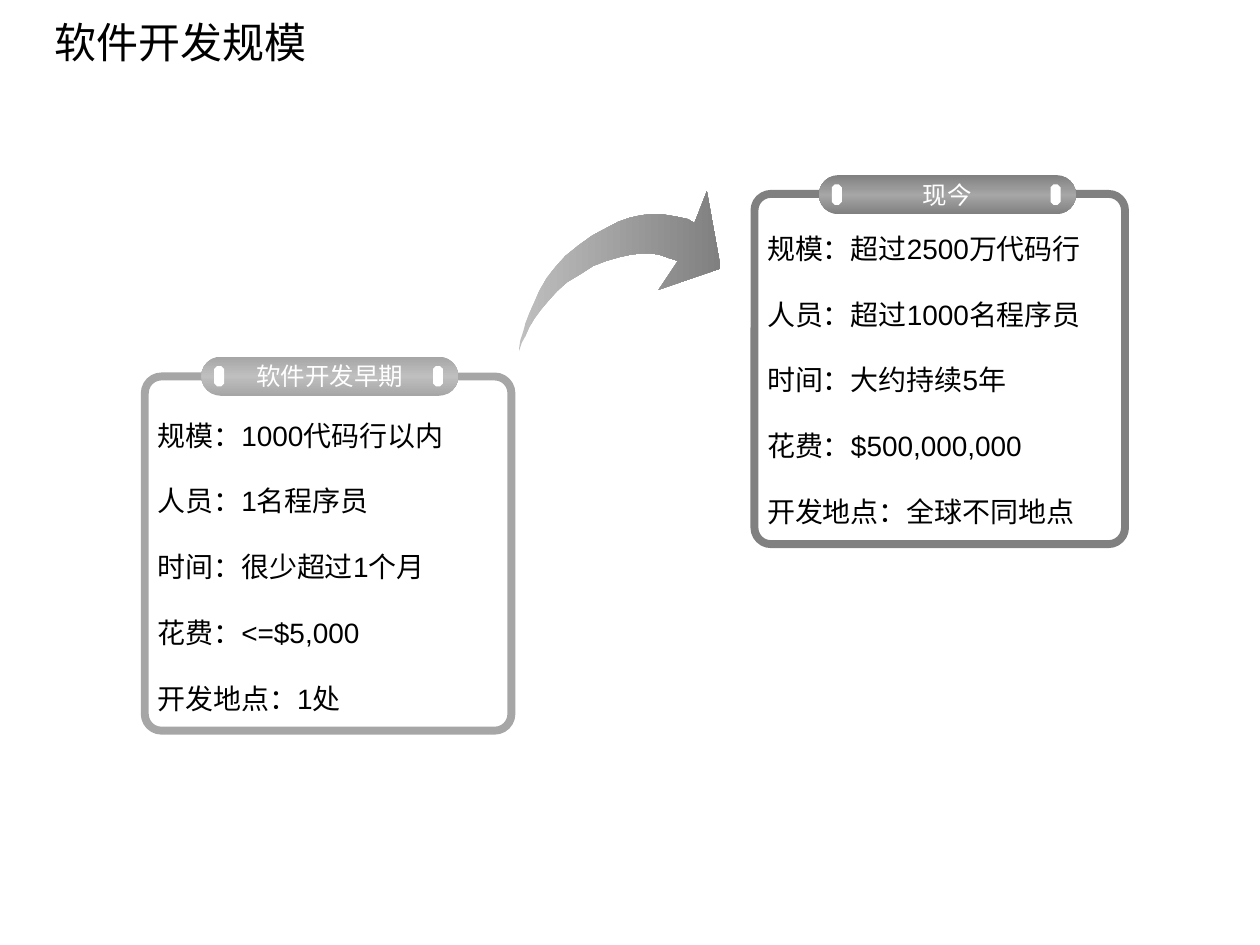
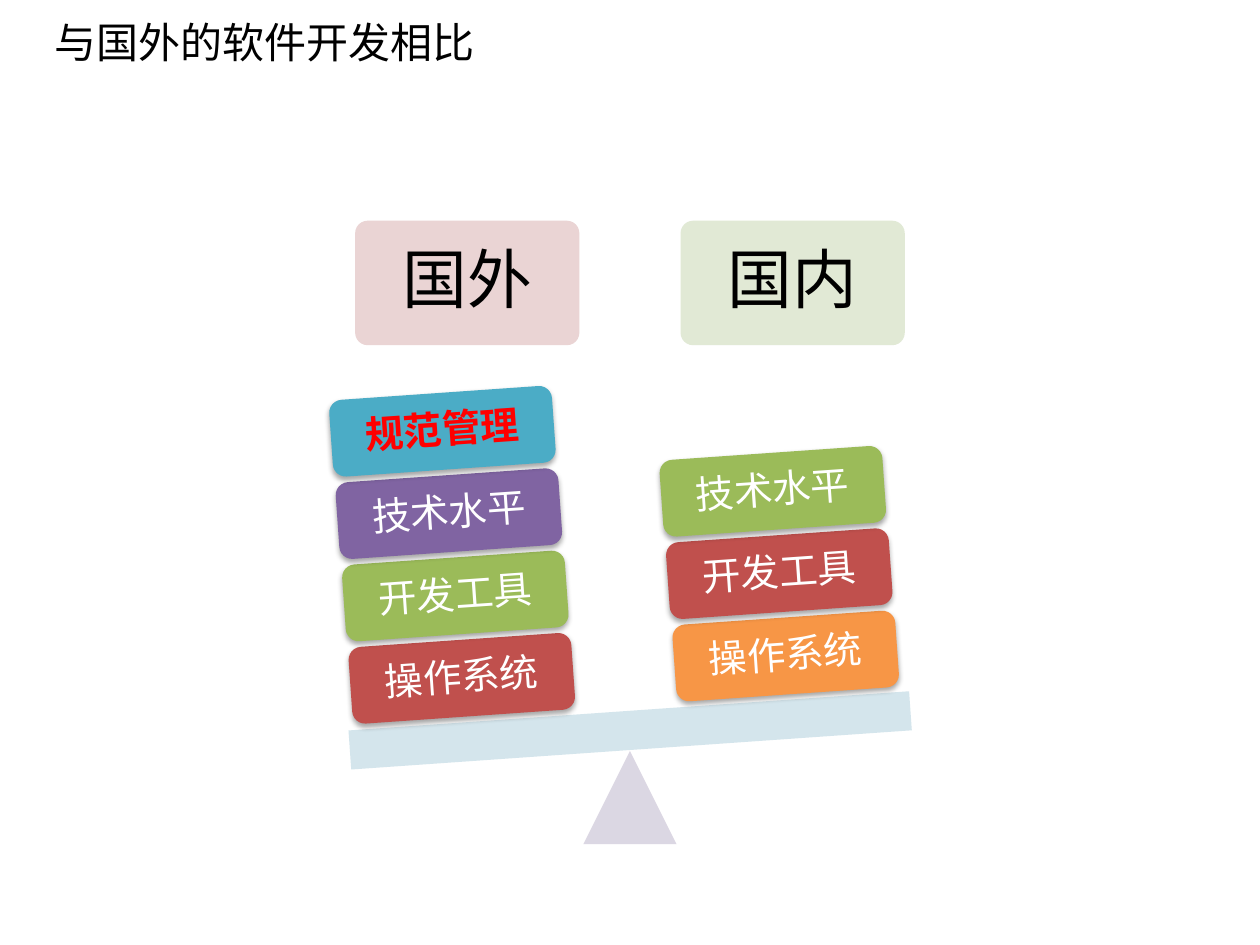
from copy import deepcopy
from dataclasses import dataclass

from lxml import etree
from pptx import Presentation
from pptx import util as u
from pptx.dml.color import RGBColor
from pptx.enum import shapes, text
from pptx.oxml.ns import qn


@dataclass(frozen=True)
class Theme:
    black: str = "000000"
    white: str = "FFFFFF"
    light: str = "BFBFBF"
    mid: str = "A6A6A6"
    dark: str = "808080"
    red: str = "FF0000"
    brick: str = "C0504D"
    green: str = "9BBB59"
    purple: str = "8064A2"
    aqua: str = "4BACC6"
    orange: str = "F79646"
    pale_red: str = "E8D0D0"
    pale_green: str = "DEE7D1"
    pale_purple: str = "D8D3E0"
    pale_blue: str = "D0E3EA"
    title_font: str = "Noto Sans CJK SC"
    panel_font: str = "Arial"
    tile_font: str = "Calibri"
    title_size: int = 24
    pill_size: int = 14
    body_size: int = 16
    heading_size: int = 37
    tile_size: int = 22


theme = Theme()
kinds = shapes.MSO_SHAPE


def draw(page, kind, place, fill=None, opacity=100, lines=(), font=theme.tile_font,
         size=theme.tile_size, colour=theme.white, inset=0.0):
    """Add a plain shape at place (cm), with optional text lines."""
    shape = page.shapes.add_shape(kind, *[u.Cm(length) for length in place])
    shape.shadow.inherit = False
    shape.line.fill.background()
    if fill:
        shape.fill.solid()
        shape.fill.fore_color.rgb = RGBColor.from_string(fill)
        if opacity < 100:
            tint = shape._element.spPr.find(".//" + qn("a:srgbClr"))
            etree.SubElement(tint, qn("a:alpha"), val=str(opacity * 1000))
    else:
        shape.fill.background()
    frame = shape.text_frame
    frame.word_wrap = True
    frame.vertical_anchor = text.MSO_ANCHOR.MIDDLE
    frame.margin_left = frame.margin_right = u.Cm(inset)
    frame.margin_top = frame.margin_bottom = u.Cm(inset)
    for number, line in enumerate(lines):
        para = frame.add_paragraph() if number else frame.paragraphs[0]
        para.text = line
        para.alignment = text.PP_ALIGN.CENTER
        para.font.name = font
        para.font.size = u.Pt(size)
        para.font.color.rgb = RGBColor.from_string(colour)
    return shape


def shade(shape, colours, angle):
    """Fill a shape with evenly spaced gradient colours."""
    shape.fill.gradient()
    shape.fill.gradient_angle = angle
    stop_list = shape._element.spPr.find(".//" + qn("a:gsLst"))
    while len(stop_list) < len(colours):
        stop_list.append(deepcopy(stop_list[0]))
    for number, stop in enumerate(shape.fill.gradient_stops):
        stop.position = number / (len(colours) - 1)
        stop.color.rgb = RGBColor.from_string(colours[number])


deck = Presentation()
deck.slide_width, deck.slide_height = u.Cm(25.4), u.Cm(19.05)

# Pages with their titles
pages = []
for heading in ("软件开发规模", "与国外的软件开发相比"):
    page = deck.slides.add_slide(deck.slide_layouts[5])
    title = page.shapes.title
    title.left, title.top = u.Cm(0.84), u.Cm(-0.08)
    title.width, title.height = u.Cm(22.86), u.Cm(1.83)
    title.text_frame.text = heading
    title.text_frame.auto_size = text.MSO_AUTO_SIZE.NONE
    title.text_frame.vertical_anchor = text.MSO_ANCHOR.MIDDLE
    para = title.text_frame.paragraphs[0]
    para.alignment = text.PP_ALIGN.LEFT
    para.font.name = theme.title_font
    para.font.size = u.Pt(theme.title_size)
    para.font.color.rgb = RGBColor.from_string(theme.black)
    defaults = para._p.pPr.find(qn("a:defRPr"))
    etree.SubElement(defaults, qn("a:ea"), typeface=theme.title_font)
    pages.append(page)
scale_page, balance_page = pages

# Panels: place, pill corner, edge and centre colours, text inset, label, facts
panels = [
    ((15.21, 3.91, 7.47, 7.06), (16.51, 3.53), theme.dark, theme.mid, 0.66, "现今",
     ["规模：超过2500万代码行", "人员：超过1000名程序员", "时间：大约持续5年",
      "花费：$500,000,000", "开发地点：全球不同地点"]),
    ((2.92, 7.59, 7.39, 7.14), (4.06, 7.19), theme.mid, theme.light, 0.74, "软件开发早期",
     ["规模：1000代码行以内", "人员：1名程序员", "时间：很少超过1个月",
      "花费：<=$5,000", "开发地点：1处"]),
]
for place, (left, top), edge, centre, text_top, label, facts in panels:
    panel = draw(scale_page, kinds.ROUNDED_RECTANGLE, place, lines=facts,
                 font=theme.panel_font, size=theme.body_size, colour=theme.black, inset=0.16)
    panel.adjustments[0] = 0.047
    panel.line.color.rgb = RGBColor.from_string(edge)
    panel.line.width = u.Pt(4.5)
    panel.text_frame.vertical_anchor = text.MSO_ANCHOR.TOP
    panel.text_frame.margin_top = u.Cm(text_top)
    panel.text_frame.margin_bottom = 0
    for para in panel.text_frame.paragraphs:
        para.alignment = text.PP_ALIGN.LEFT
        para.space_after = u.Pt(18.4)

    pill = draw(scale_page, kinds.ROUNDED_RECTANGLE, (left, top, 5.18, 0.79), lines=[label],
                font=theme.panel_font, size=theme.pill_size)
    pill.adjustments[0] = 0.5
    shade(pill, [edge, centre, edge], 270)
    for offset in (0.26, 4.67):
        draw(scale_page, kinds.OCTAGON, (left + offset, top + 0.19, 0.2, 0.41), theme.white)

# Curved arrow, in hundredths of a centimetre
outer_curve = [
    (1046, 709), (1052, 691), (1059, 678), (1067, 660), (1077, 643), (1090, 625),
    (1105, 607), (1123, 587), (1143, 569), (1168, 554), (1196, 536), (1222, 526),
    (1250, 518), (1273, 513), (1293, 511), (1311, 511), (1328, 513), (1351, 521),
    (1367, 526),
]
arrow_head = [(1328, 584), (1453, 541), (1425, 386), (1400, 450)]
inner_curve = [
    (1387, 442), (1364, 437), (1334, 432), (1313, 432), (1293, 434), (1270, 439),
    (1247, 447), (1222, 460), (1194, 475), (1166, 495), (1140, 516), (1120, 538),
    (1102, 561), (1087, 587), (1077, 610), (1067, 632), (1059, 653), (1054, 671),
    (1049, 686), (1046, 706),
]
outline = scale_page.shapes.build_freeform(*outer_curve[0], scale=u.Cm(0.01))
outline.add_line_segments(outer_curve[1:] + arrow_head + inner_curve, close=True)
arrow = outline.convert_to_shape()
arrow.shadow.inherit = False
arrow.line.fill.background()
shade(arrow, [theme.light, theme.dark], 0)

# Headings above the scale
for left, label, fill in ((7.16, "国外", theme.pale_red), (13.72, "国内", theme.pale_green)):
    card = draw(balance_page, kinds.ROUNDED_RECTANGLE, (left, 4.45, 4.52, 2.51), fill, 90,
                [label], size=theme.heading_size, colour=theme.black, inset=0.38)
    card.adjustments[0] = 0.1
    card.text_frame.paragraphs[0].line_spacing = 0.9

# Fulcrum and tilted beam
tilt = -4
draw(balance_page, kinds.ISOSCELES_TRIANGLE, (11.76, 15.14, 1.88, 1.88), theme.pale_purple, 90)
beam = draw(balance_page, kinds.RECTANGLE, (7.04, 14.33, 11.33, 0.79), theme.pale_blue, 90)
beam.rotation = tilt

# Stacks of tiles, from the beam upwards
stacks = [
    (7.06, 12.9, [("操作系统", theme.brick), ("开发工具", theme.green),
                  ("技术水平", theme.purple), ("规范管理", theme.aqua)]),
    (13.59, 12.45, [("操作系统", theme.orange), ("开发工具", theme.brick),
                    ("技术水平", theme.green)]),
]
for left, top, tiles in stacks:
    for level, (label, fill) in enumerate(tiles):
        key = label == "规范管理"
        tile = draw(balance_page, kinds.ROUNDED_RECTANGLE,
                    (left - 0.13 * level, top - 1.66 * level, 4.5, 1.55), fill,
                    lines=[label], colour=theme.red if key else theme.white, inset=0.23)
        tile.rotation = tilt
        para = tile.text_frame.paragraphs[0]
        para.line_spacing = 0.9
        para.font.bold = key
        effects = tile._element.spPr.find(qn("a:effectLst"))
        shadow = etree.SubElement(effects, qn("a:outerShdw"), blurRad=str(u.Pt(3.1)),
                                  dist=str(u.Pt(1.8)), dir="5400000", rotWithShape="0")
        shadow_colour = etree.SubElement(shadow, qn("a:srgbClr"), val=theme.black)
        etree.SubElement(shadow_colour, qn("a:alpha"), val="35000")

deck.save("out.pptx")
